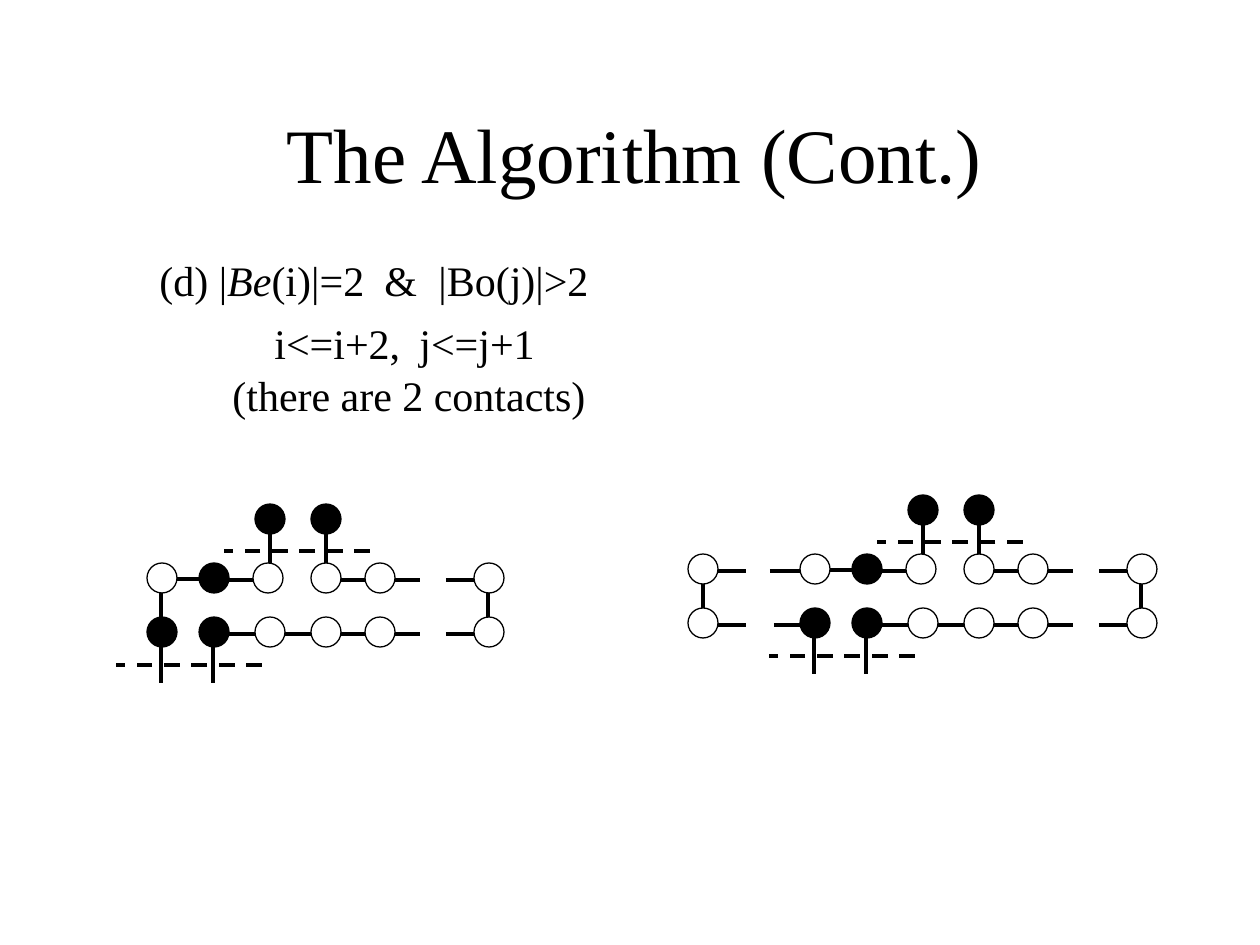
from dataclasses import dataclass

from lxml import etree
from pptx import Presentation
from pptx.dml.color import RGBColor
from pptx.enum.dml import MSO_LINE
from pptx.enum.shapes import MSO_CONNECTOR, MSO_SHAPE
from pptx.enum.text import MSO_ANCHOR, PP_ALIGN
from pptx.oxml.ns import qn
from pptx.util import Pt

PX = 914400 // 126  # EMU per px
STRAIGHT = MSO_CONNECTOR.STRAIGHT
OVAL = MSO_SHAPE.OVAL
DASH = MSO_LINE.DASH
CENTER = PP_ALIGN.CENTER
MIDDLE, TOP = MSO_ANCHOR.MIDDLE, MSO_ANCHOR.TOP


@dataclass
class Theme:
    font = "Times New Roman"
    black = RGBColor(0, 0, 0)
    white = RGBColor(255, 255, 255)
    title_size = Pt(44)
    body_size = Pt(24)
    bond_width = Pt(2.25)
    outline_width = Pt(0.75)


theme = Theme()


def add_bond(group, x1, y1, x2, y2, dash=None):
    bond = group.shapes.add_connector(STRAIGHT, x1 * PX, y1 * PX, x2 * PX, y2 * PX)
    bond.line.color.rgb = theme.black
    bond.line.width = theme.bond_width
    if dash is not None:
        bond.line.dash_style = dash
    etree.SubElement(bond._element.spPr, qn("a:effectLst"))


def add_bead(group, x, y, color, size=30):
    bead = group.shapes.add_shape(
        OVAL, (x - size // 2) * PX, (y - size // 2) * PX, size * PX, size * PX)
    bead.shadow.inherit = False
    bead.fill.solid()
    bead.fill.fore_color.rgb = color
    bead.line.color.rgb = theme.black
    bead.line.width = theme.outline_width


prs = Presentation()
prs.slide_width, prs.slide_height = 1260 * PX, 945 * PX
slide = prs.slides.add_slide(prs.slide_layouts[5])

# Title
title = slide.shapes.title
title.left, title.top, title.width, title.height = 44 * PX, 63 * PX, 1181 * PX, 179 * PX
title.text_frame.text = "The Algorithm (Cont.)"
title.text_frame.vertical_anchor = MIDDLE
heading = title.text_frame.paragraphs[0]
heading.alignment = CENTER
heading.runs[0].font.name = theme.font
heading.runs[0].font.size = theme.title_size
heading.runs[0].font.color.rgb = theme.black

# Case description: runs, space before in points, tab stops in px
case_lines = [
    (["(d) |", "Be", "(i)|=2\t&\t|Bo(j)|>2"], 0, [225, 279]),
    (["\ti<=i+2,\tj<=j+1"], 6, [115, 260]),
    (["\t(there are 2 contacts)"], 0, [73]),
]
case_box = slide.shapes.add_textbox(147 * PX, 246 * PX, 1040 * PX, 176 * PX)
case_text = case_box.text_frame
case_text.word_wrap = True
case_text.vertical_anchor = TOP
for number, (pieces, space, stops) in enumerate(case_lines):
    line = case_text.add_paragraph() if number else case_text.paragraphs[0]
    line.space_before = Pt(space)
    line.line_spacing = 1.04
    tab_list = etree.SubElement(line._p.get_or_add_pPr(), qn("a:tabLst"))
    for stop in stops:
        etree.SubElement(tab_list, qn("a:tab"), pos=str(stop * PX), algn="l")
    for piece in pieces:
        run = line.add_run()
        run.text = piece
        run.font.name = theme.font
        run.font.size = theme.body_size
        run.font.color.rgb = theme.black
        run.font.italic = piece == "Be"

# Fold shared by both diagrams, in the px of the left one
UPPER, LOWER = 578, 632
fold_bonds = [
    (166, 579, 208, 579), (224, 580, 266, 580),
    (215, 634, 257, 634), (276, 634, 373, 634),
    (270, 530, 270, 582), (326, 530, 326, 572),
    (161, 640, 161, 683), (213, 635, 213, 683),
    (488, 586, 488, 629),
]
for row in (UPPER + 2, LOWER + 2):
    fold_bonds += [(330, row, 373, row), (378, row, 420, row), (446, row, 488, row)]
cuts = [(370, 551, 224, 551), (262, 665, 116, 665)]
fold_beads = [(270, 519, theme.black), (326, 519, theme.black),
              (162, UPPER, theme.white), (162, LOWER, theme.black),
              (268, UPPER, theme.white), (270, LOWER, theme.white)]
for row in (UPPER, LOWER):
    fold_beads.append((214, row, theme.black))
    fold_beads += [(column, row, theme.white) for column in (326, 380, 489)]

# Diagrams: offset, then the bonds and beads that only one has at its left end
closed_end = ([(161, 581, 161, 634)], [])
open_end = (
    [(50, 586, 50, 629), (50, 580, 93, 580), (50, 634, 93, 634),
     (117, 580, 159, 580), (121, 634, 162, 634)],
    [(50, UPPER, theme.white), (50, LOWER, theme.white)],
)
for dx, dy, (end_bonds, end_beads) in [(0, 0, closed_end), (653, -9, open_end)]:
    diagram = slide.shapes.add_group_shape()
    for x1, y1, x2, y2 in fold_bonds + end_bonds:
        add_bond(diagram, x1 + dx, y1 + dy, x2 + dx, y2 + dy)
    for x1, y1, x2, y2 in cuts:
        add_bond(diagram, x1 + dx, y1 + dy, x2 + dx, y2 + dy, DASH)
    for x, y, color in fold_beads + end_beads:
        add_bead(diagram, x + dx, y + dy, color)

prs.save("out.pptx")
